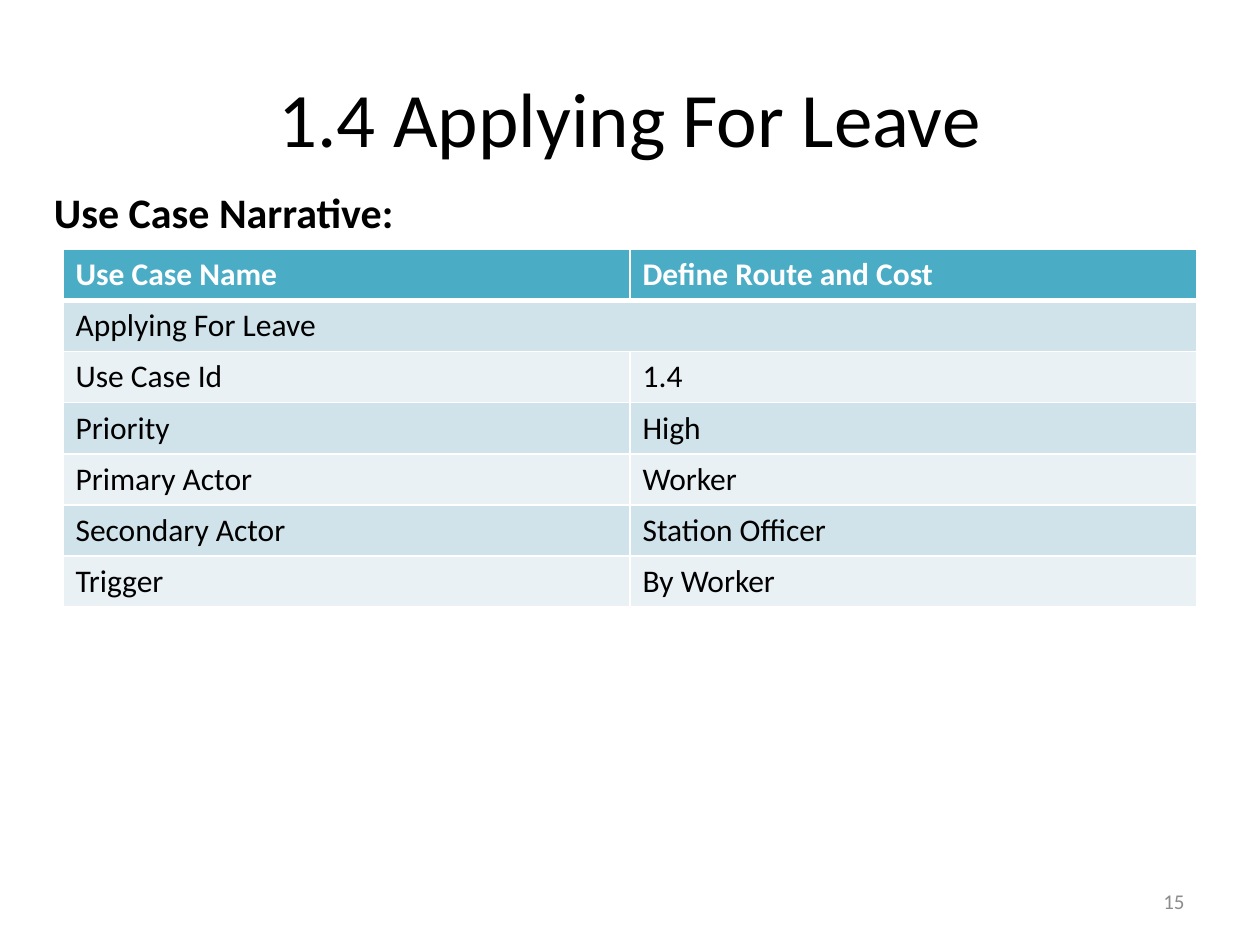
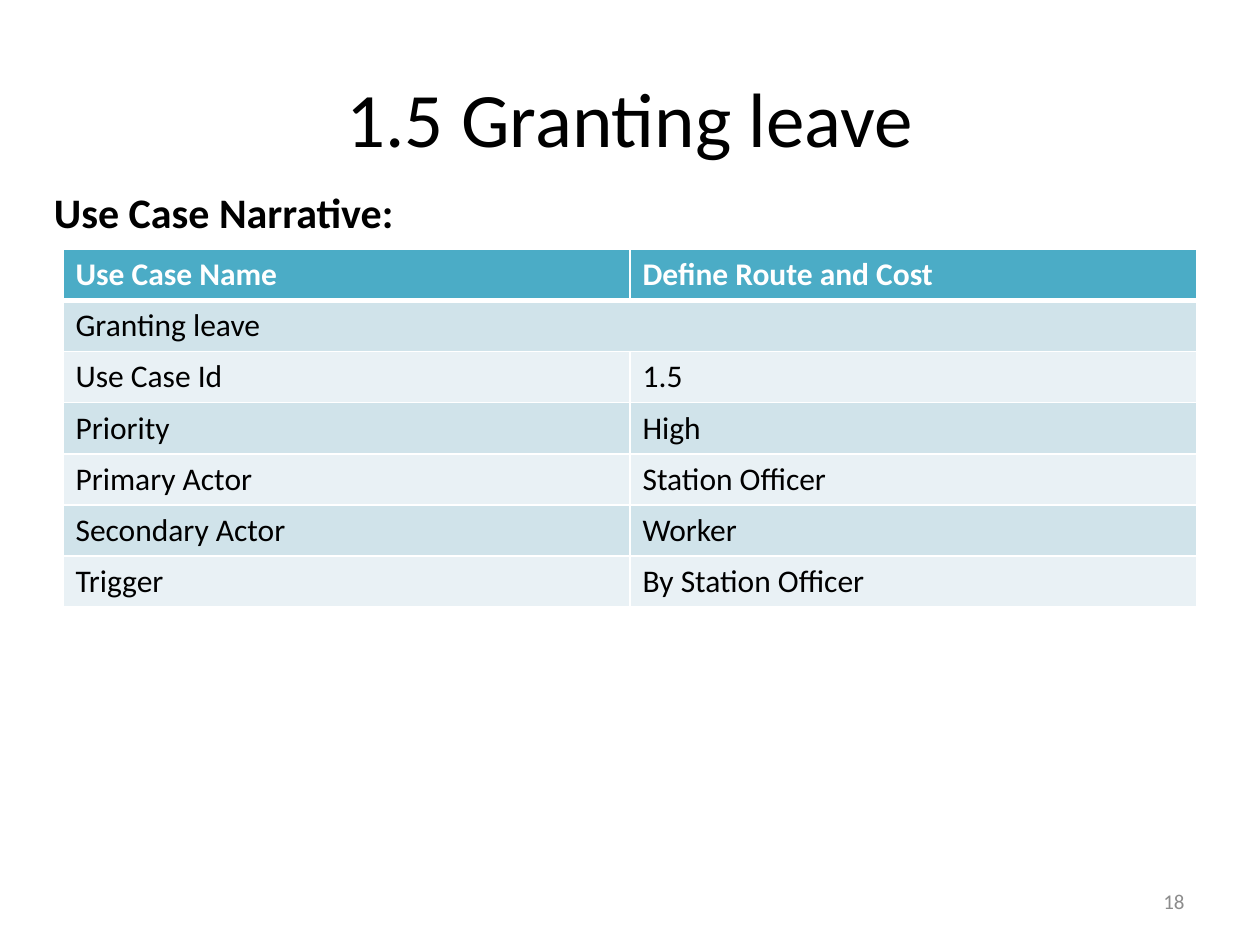
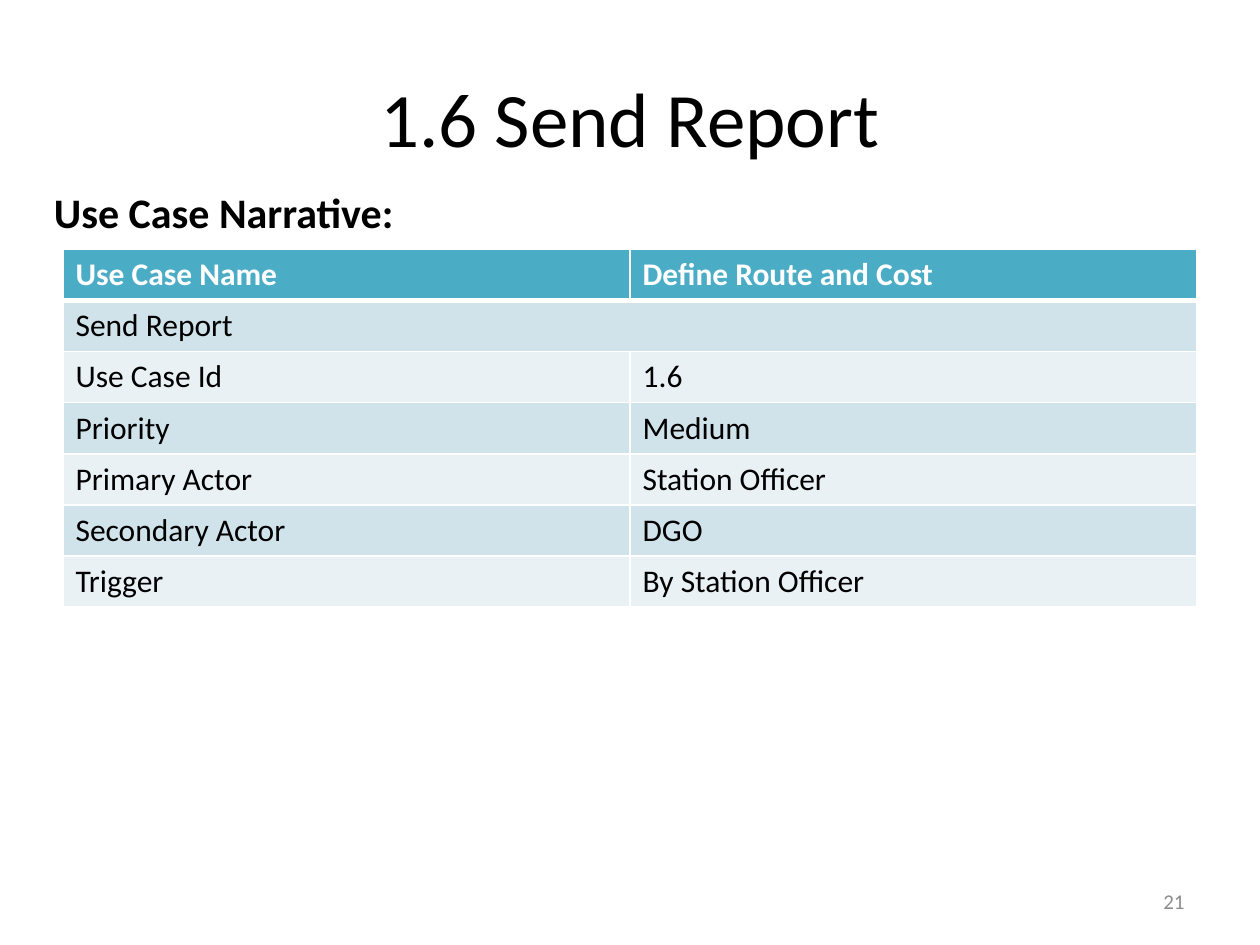
from dataclasses import dataclass

from lxml import etree
from pptx import Presentation
from pptx.dml.color import RGBColor
from pptx.enum import text as t
from pptx.oxml import ns
from pptx.util import Inches, Pt


@dataclass(frozen=True)
class Theme:
    font: str = "Calibri"
    ink: str = "000000"
    paper: str = "FFFFFF"
    muted: str = "8C8C8C"
    header: str = "4BACC6"
    bands: tuple = ("D0E3EA", "E9F1F5")
    title_size: int = 44
    heading_size: int = 24
    table_size: int = 18
    number_size: int = 12
    rule: int = 1
    header_rule: int = 3


THEME = Theme()

# Content
HEADING = "Use Case Narrative:"
TABLE_HEADER = ("Use Case Name", "Define Route and Cost")
FIELDS = ("Use Case Id", "Priority", "Primary Actor", "Secondary Actor", "Trigger")
USE_CASES = [
    {"page": 15, "name": "Applying For Leave",
     "values": ("1.4", "High", "Worker", "Station Officer", "By Worker")},
    {"page": 18, "name": "Granting leave",
     "values": ("1.5", "High", "Station Officer", "Worker", "By Station Officer")},
    {"page": 21, "name": "Send Report",
     "values": ("1.6", "Medium", "Station Officer", "DGO", "By Station Officer")},
]

# Layout: left, top, width, height in inches
TITLE_AT = (0.5, 0.3, 9, 1.25)
HEADING_AT = (0.33, 1.43, 5.25, 0.5)
TABLE_AT = (0.5, 1.98, 9, 2.84)
NUMBER_AT = (7.17, 6.95, 2.33, 0.4)


def inches(place):
    return [Inches(length) for length in place]


def write(frame, words, size, color, bold=False, align=t.PP_ALIGN.LEFT):
    para = frame.paragraphs[0]
    para.alignment = align
    span = para.add_run()
    span.text = words
    span.font.name = THEME.font
    span.font.size = Pt(size)
    span.font.bold = bold
    span.font.color.rgb = RGBColor.from_string(color)


def add_title(page, words):
    title = page.shapes.title
    title.left, title.top, title.width, title.height = inches(TITLE_AT)
    title.text_frame.vertical_anchor = t.MSO_ANCHOR.MIDDLE
    write(title.text_frame, words, THEME.title_size, THEME.ink,
          align=t.PP_ALIGN.CENTER)


def add_label(page, place, words, size, color, anchor=t.MSO_ANCHOR.TOP, **style):
    frame = page.shapes.add_textbox(*inches(place)).text_frame
    frame.word_wrap = True
    frame.vertical_anchor = anchor
    write(frame, words, size, color, **style)


def set_borders(cell, top, bottom):
    props = cell._tc.get_or_add_tcPr()
    widths = {"L": THEME.rule, "R": THEME.rule, "T": top, "B": bottom}
    for side, width in widths.items():
        line = etree.SubElement(props, ns.qn(f"a:ln{side}"), w=str(Pt(width)))
        fill = etree.SubElement(line, ns.qn("a:solidFill"))
        etree.SubElement(fill, ns.qn("a:srgbClr"), val=THEME.paper)


def add_use_case_table(page, case):
    rows = [TABLE_HEADER, (case["name"], ""), *zip(FIELDS, case["values"])]
    table = page.shapes.add_table(len(rows), len(TABLE_HEADER),
                                  *inches(TABLE_AT)).table
    for r, row in enumerate(rows):
        is_header = r == 0
        for c, words in enumerate(row):
            cell = table.cell(r, c)
            set_borders(cell,
                        top=THEME.header_rule if r == 1 else THEME.rule,
                        bottom=THEME.header_rule if is_header else THEME.rule)
            cell.fill.solid()
            cell.fill.fore_color.rgb = RGBColor.from_string(
                THEME.header if is_header else THEME.bands[(r - 1) % 2])
            if words:
                write(cell.text_frame, words, THEME.table_size,
                      THEME.paper if is_header else THEME.ink, bold=is_header)
    # The use case name spans the full width
    table.cell(1, 0).merge(table.cell(1, 1))


def add_use_case_page(deck, case):
    page = deck.slides.add_slide(deck.slide_layouts[5])
    add_title(page, f"{case['values'][0]} {case['name']}")
    add_use_case_table(page, case)
    add_label(page, NUMBER_AT, str(case["page"]), THEME.number_size, THEME.muted,
              anchor=t.MSO_ANCHOR.MIDDLE, align=t.PP_ALIGN.RIGHT)
    add_label(page, HEADING_AT, HEADING, THEME.heading_size, THEME.ink, bold=True)


def main():
    deck = Presentation()
    deck.slide_width, deck.slide_height = Inches(10), Inches(7.5)
    for case in USE_CASES:
        add_use_case_page(deck, case)
    deck.save("out.pptx")


if __name__ == "__main__":
    main()
